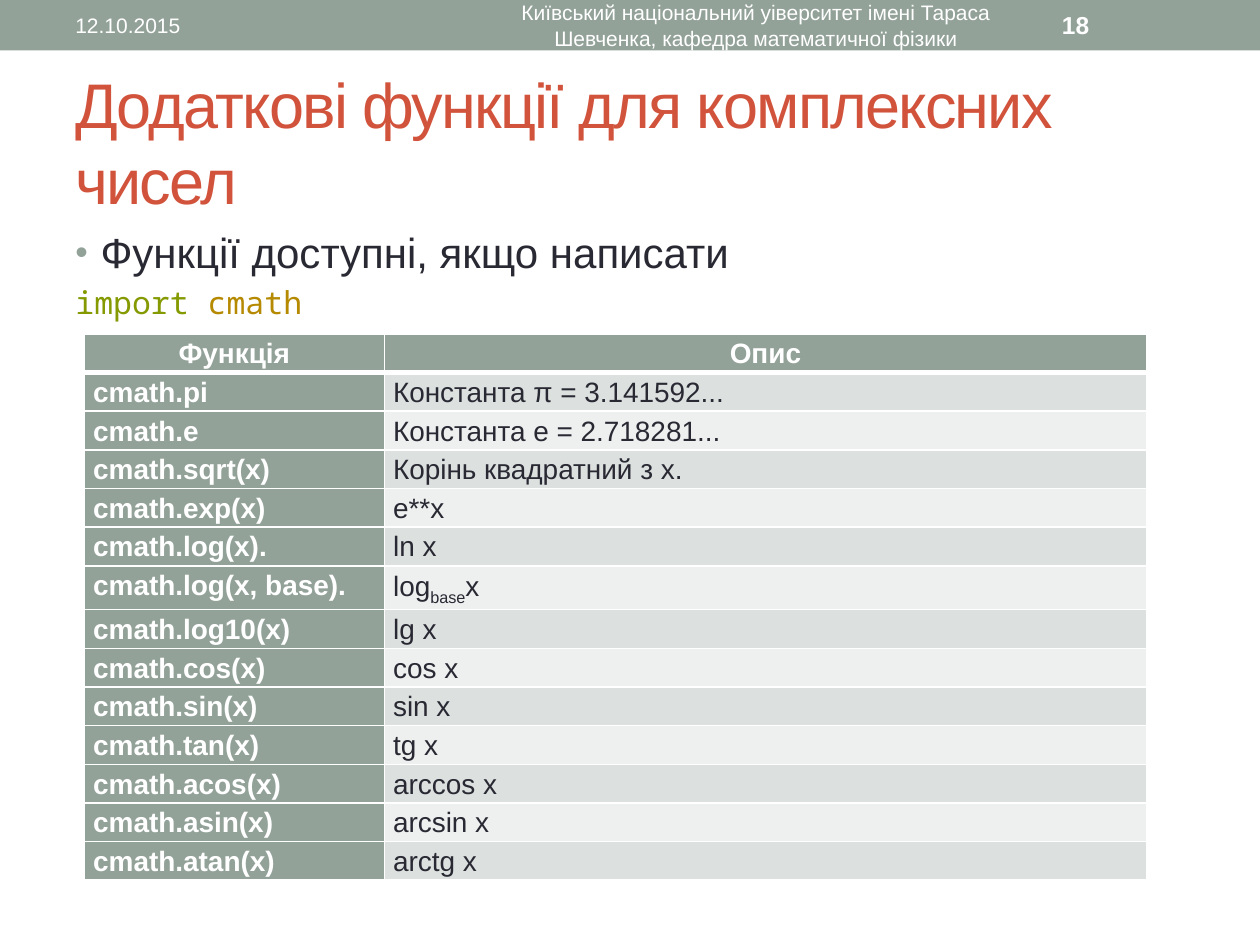
"""Build a slide listing the extra functions for complex numbers."""
from lxml.etree import SubElement
from pptx import Presentation
from pptx.dml.color import RGBColor
from pptx.enum.shapes import MSO_SHAPE
from pptx.enum.text import MSO_ANCHOR, PP_ALIGN
from pptx.oxml.ns import qn
from pptx.util import Inches, Pt

SAGE = RGBColor(0x93, 0xA2, 0x99)
RED = RGBColor(0xD2, 0x53, 0x3C)
INK = RGBColor(0x29, 0x29, 0x34)
WHITE = RGBColor(0xFF, 0xFF, 0xFF)
GREEN = RGBColor(0x85, 0x99, 0x00)
GOLD = RGBColor(0xB5, 0x89, 0x00)
BANDS = (RGBColor(0xDC, 0xE0, 0xDE), RGBColor(0xEE, 0xF0, 0xEF))

SANS, MONO = "Arial", "Noto Sans Mono"
TITLE = "Додаткові функції для комплексних чисел"
INTRO = "Функції доступні, якщо написати"
CODE = (("import ", GREEN), ("cmath", GOLD))
BAR_TEXTS = (
    ("12.10.2015", 0.5, 3.17, 12, False, PP_ALIGN.LEFT),
    ("Київський національний уіверситет імені Тараса Шевченка, кафедра математичної фізики",
     3.75, 4.5, 12, False, PP_ALIGN.CENTER),
    ("18", 8.33, 1.17, 14, True, PP_ALIGN.LEFT),
)
HEADINGS = ("Функція", "Опис")
FUNCTIONS = (
    ("cmath.pi", "Константа π = 3.141592..."),
    ("cmath.e", "Константа e = 2.718281..."),
    ("cmath.sqrt(x)", "Корінь квадратний з x."),
    ("cmath.exp(x)", "e**x"),
    ("cmath.log(x).", "ln x"),
    ("cmath.log(x, base).", ("log", "base", "x")),
    ("cmath.log10(x)", "lg x"),
    ("cmath.cos(x)", "cos x"),
    ("cmath.sin(x)", "sin x"),
    ("cmath.tan(x)", "tg x"),
    ("cmath.acos(x)", "arccos x"),
    ("cmath.asin(x)", "arcsin x"),
    ("cmath.atan(x)", "arctg x"),
)
COLUMN_WIDTHS = (2.38, 6.05)
ROW_HEIGHT = 0.28


def add_run(paragraph, text, size, color, bold=False, name=SANS):
    run = paragraph.add_run()
    run.text = text
    font = run.font
    font.name, font.size, font.bold = name, Pt(size), bold
    font.color.rgb = color
    return run


def add_text_frame(slide, left, top, width, height, anchor=MSO_ANCHOR.MIDDLE):
    box = slide.shapes.add_textbox(*map(Inches, (left, top, width, height)))
    frame = box.text_frame
    frame.word_wrap = True
    frame.vertical_anchor = anchor
    return frame


def add_bullet(paragraph):
    properties = paragraph._p.get_or_add_pPr()
    properties.set("marL", str(Inches(0.2)))
    properties.set("indent", str(-Inches(0.2)))
    color = SubElement(properties, qn("a:buClr"))
    SubElement(color, qn("a:srgbClr"), val=str(SAGE))
    SubElement(properties, qn("a:buSzPct"), val="85000")
    SubElement(properties, qn("a:buFont"), typeface=SANS)
    SubElement(properties, qn("a:buChar"), char="•")


def set_borders(cell, top, bottom):
    properties = cell._tc.get_or_add_tcPr()
    for index, (side, width) in enumerate(zip("LRTB", (1, 1, top, bottom))):
        line = SubElement(properties, qn(f"a:ln{side}"), w=str(Pt(width)))
        fill = SubElement(line, qn("a:solidFill"))
        SubElement(fill, qn("a:srgbClr"), val=str(WHITE))
        properties.insert(index, line)


def fill_cell(cell, content, row, column):
    is_heading = row == 0 or column == 0
    cell.fill.solid()
    cell.fill.fore_color.rgb = SAGE if is_heading else BANDS[(row - 1) % 2]
    set_borders(cell, 3 if row == 1 else 1, 3 if row == 0 else 1)
    cell.margin_left = cell.margin_right = Inches(0.07)
    cell.margin_top = cell.margin_bottom = 0
    paragraph = cell.text_frame.paragraphs[0]
    paragraph.line_spacing = 1.15
    paragraph.alignment = PP_ALIGN.CENTER if row == 0 else PP_ALIGN.LEFT
    parts = (content,) if isinstance(content, str) else content
    for index, part in enumerate(parts):
        run = add_run(paragraph, part, 16, WHITE if is_heading else INK, is_heading)
        if index == 1:
            run.font._element.set("baseline", "-25000")


def add_bar(slide, width):
    bar = slide.shapes.add_shape(MSO_SHAPE.RECTANGLE, 0, 0, width, Inches(0.4))
    bar.shadow.inherit = False
    bar.fill.solid()
    bar.fill.fore_color.rgb = SAGE
    bar.line.fill.background()
    for text, left, text_width, size, bold, alignment in BAR_TEXTS:
        paragraph = add_text_frame(slide, left, 0.02, text_width, 0.36).paragraphs[0]
        paragraph.alignment = alignment
        add_run(paragraph, text, size, WHITE, bold)


def add_body(slide):
    title = add_text_frame(slide, 0.5, 0.58, 9, 1.08).paragraphs[0]
    add_run(title, TITLE, 36, RED).font._element.set("spc", "-100")
    frame = add_text_frame(slide, 0.5, 1.75, 9, 5.33, MSO_ANCHOR.TOP)
    intro = frame.paragraphs[0]
    intro.space_before = Pt(4.8)
    add_bullet(intro)
    add_run(intro, INTRO, 24, INK)
    code = frame.add_paragraph()
    code.space_before = Pt(3.6)
    for text, color in CODE:
        add_run(code, text, 18, color, name=MONO)


def add_function_table(slide):
    rows = (HEADINGS, *FUNCTIONS)
    table = slide.shapes.add_table(
        len(rows), len(COLUMN_WIDTHS), Inches(0.67), Inches(2.65),
        Inches(sum(COLUMN_WIDTHS)), Inches(ROW_HEIGHT * len(rows))).table
    for column, width in zip(table.columns, COLUMN_WIDTHS):
        column.width = Inches(width)
    for row, contents in enumerate(rows):
        for column, content in enumerate(contents):
            fill_cell(table.cell(row, column), content, row, column)


def main():
    presentation = Presentation()
    presentation.slide_width, presentation.slide_height = Inches(10), Inches(7.5)
    slide = presentation.slides.add_slide(presentation.slide_layouts[6])
    add_bar(slide, presentation.slide_width)
    add_body(slide)
    add_function_table(slide)
    presentation.save("out.pptx")


if __name__ == "__main__":
    main()
